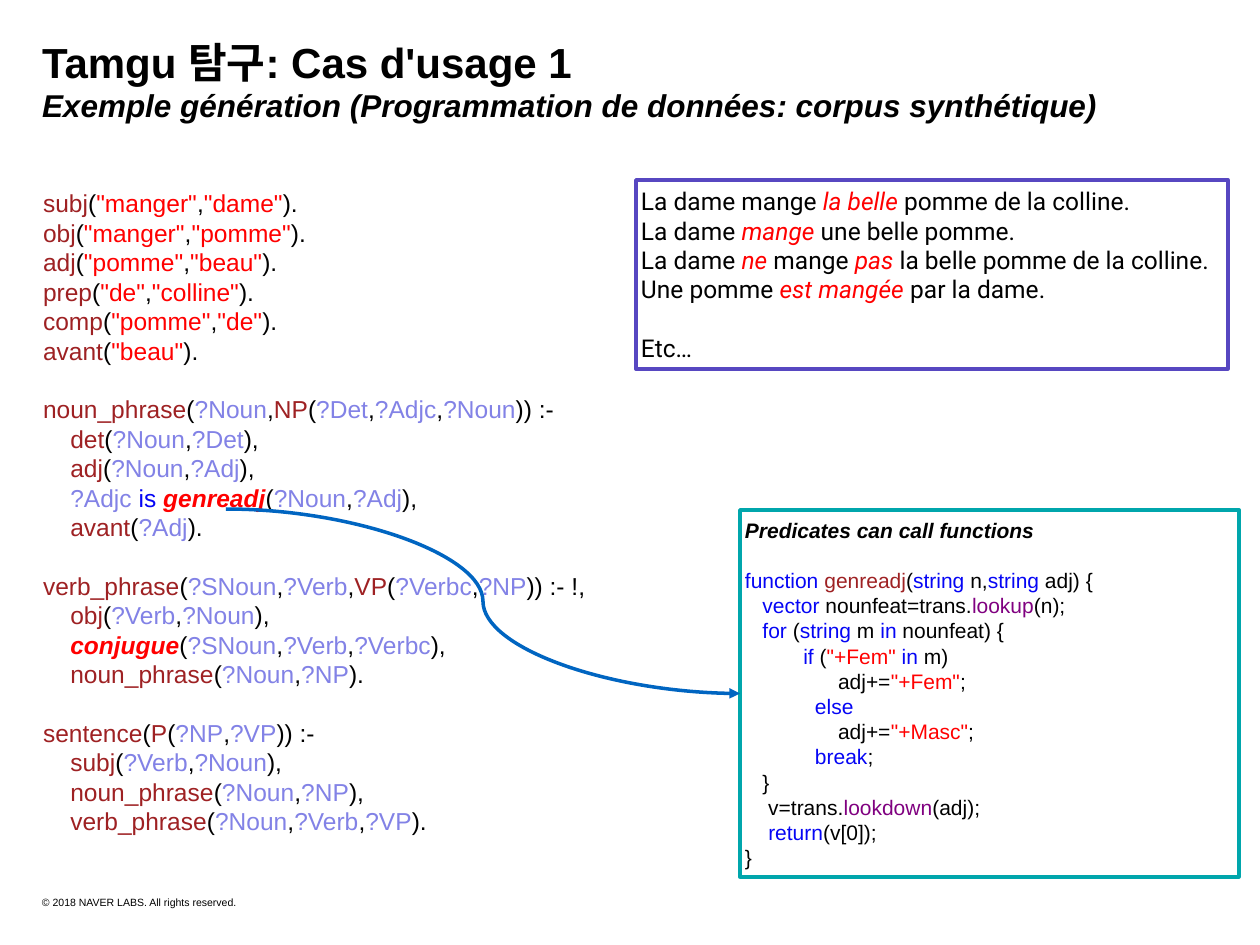
"""Build the slide on a Tamgu use case: rules, generated sentences and a called function."""
from dataclasses import dataclass
from itertools import groupby

from lxml.etree import SubElement
from pptx import Presentation
from pptx.dml.color import RGBColor
from pptx.enum.shapes import MSO_CONNECTOR, MSO_SHAPE
from pptx.enum.text import MSO_ANCHOR, MSO_AUTO_SIZE, PP_ALIGN
from pptx.oxml.ns import qn
from pptx.util import Pt

PX = 914400 / 126
LEAD = 1.2
BLACK = RGBColor(0x00, 0x00, 0x00)
WHITE = RGBColor(0xFF, 0xFF, 0xFF)
RED = RGBColor(0xFF, 0x00, 0x00)
BROWN = RGBColor(0x9E, 0x21, 0x23)
LILAC = RGBColor(0x82, 0x82, 0xE6)
BLUE = RGBColor(0x05, 0x05, 0xF5)
PLUM = RGBColor(0x80, 0x00, 0x80)
VIOLET = RGBColor(0x57, 0x47, 0xC1)
TEAL = RGBColor(0x00, 0xA6, 0xAC)
AZURE = RGBColor(0x00, 0x65, 0xC1)

RULES = """subj("manger","dame").
obj("manger","pomme").
adj("pomme","beau").
prep("de","colline").
comp("pomme","de").
avant("beau").

noun_phrase(?Noun,NP(?Det,?Adjc,?Noun)) :-
    det(?Noun,?Det),
    adj(?Noun,?Adj),
    ?Adjc is genreadj(?Noun,?Adj),
    avant(?Adj).

verb_phrase(?SNoun,?Verb,VP(?Verbc,?NP)) :- !,
    obj(?Verb,?Noun),
    conjugue(?SNoun,?Verb,?Verbc),
    noun_phrase(?Noun,?NP).

sentence(P(?NP,?VP)) :-
    subj(?Verb,?Noun),
    noun_phrase(?Noun,?NP),
    verb_phrase(?Noun,?Verb,?VP)."""

CODE = """function genreadj(string n,string adj) {
   vector nounfeat=trans.lookup(n);
   for (string m in nounfeat) {
          if ("+Fem" in m)
                adj+="+Fem";
            else
                adj+="+Masc";
            break;
   }
    v=trans.lookdown(adj);
    return(v[0]);
}"""

STORY = """La dame mange *la belle* pomme de la colline.
La dame *mange* une belle pomme.
La dame *ne* mange *pas* la belle pomme de la colline.
Une pomme *est mangée* par la dame.

Etc…"""

WORDS = dict.fromkeys("function string vector for in if else break return".split(), BLUE)
WORDS |= {"genreadj": BROWN, "lookup": PLUM, "lookdown": PLUM}


@dataclass(frozen=True)
class Span:
    """A piece of text in one style."""
    text: str
    color: RGBColor = BLACK
    bold: bool = False
    slant: bool = False


@dataclass(frozen=True)
class Area:
    """A place on the slide in px."""
    left: int
    top: int
    width: int
    height: int

    def emu(self) -> list[int]:
        """Give the four lengths in EMU."""
        return [round(n * PX) for n in (self.left, self.top, self.width, self.height)]


Line = list[Span]
Block = list[Line]


def rule_span(word: str) -> Span:
    """Style one word of the rules."""
    if word in ("genreadj", "conjugue"):
        return Span(word, RED, True, True)
    if word == "is":
        return Span(word, BLUE)
    return Span(word, LILAC if word.startswith("?") else BROWN)


def code_span(word: str) -> Span:
    """Style one word of the function."""
    return Span(word, WORDS.get(word, BLACK))


def in_word(char: str) -> bool:
    """Tell whether a character belongs to a word."""
    return char.isalnum() or char in "_?"


def paint(line: str, style) -> Line:
    """Cut a line of code into styled spans."""
    spans = []
    for i, part in enumerate(line.split('"')):
        if i % 2:
            spans.append(Span(f'"{part}"', RED))
            continue
        for named, chars in groupby(part, in_word):
            text = "".join(chars)
            spans.append(style(text) if named else Span(text))
    return spans


def stress(line: str) -> Line:
    """Style the starred parts of a sentence."""
    parts = enumerate(line.split("*"))
    return [Span(t, RED if i % 2 else BLACK, slant=bool(i % 2)) for i, t in parts if t]


def blocks(text: str, cut) -> list[Block]:
    """Split a text into blocks of styled lines."""
    return [[cut(line) for line in part.split("\n")] for part in text.split("\n\n")]


def frame(shape, pad: int, anchor=MSO_ANCHOR.MIDDLE):
    """Set up the text frame of a shape."""
    box = shape.text_frame
    box.word_wrap = True
    box.auto_size = MSO_AUTO_SIZE.NONE
    box.vertical_anchor = anchor
    box.margin_left = box.margin_right = box.margin_top = box.margin_bottom = round(pad * PX)
    return box


def pace(para, size: int, gap: bool = False) -> None:
    """Set the alignment and spacing of a paragraph."""
    para.alignment = PP_ALIGN.LEFT
    para.line_spacing = Pt(size * LEAD)
    para.space_before = Pt(size * LEAD if gap else 0)
    para.space_after = Pt(0)


def dress(run, span: Span, size: int, face: str = "Arial") -> None:
    """Give a run the style of a span."""
    font = run.font
    font.name, font.size = face, Pt(size)
    font.bold, font.italic = span.bold, span.slant
    font.color.rgb = span.color


def write(box, parts: list[Block], size: int, face: str = "Arial") -> None:
    """Write blocks of lines, one line apart."""
    para = box.paragraphs[0]
    for i, block in enumerate(parts):
        for j, line in enumerate(block):
            if i or j:
                para = box.add_paragraph()
            pace(para, size, i > 0 and j == 0)
            for span in line:
                run = para.add_run()
                run.text = span.text
                dress(run, span, size, face)


def panel(slide, area: Area, edge: RGBColor):
    """Draw a white box with a coloured edge."""
    shape = slide.shapes.add_shape(MSO_SHAPE.RECTANGLE, *area.emu())
    shape.shadow.inherit = False
    shape.fill.solid()
    shape.fill.fore_color.rgb = WHITE
    shape.line.color.rgb = edge
    shape.line.width = Pt(2)
    return shape


def head(slide) -> None:
    """Place the title and its subtitle."""
    title = slide.shapes.title
    title.left, title.top, title.width, title.height = Area(38, 32, 1201, 97).emu()
    box = frame(title, 4, MSO_ANCHOR.TOP)
    box.text = ("Tamgu 탐구: Cas d'usage 1\n"
                "Exemple génération (Programmation de données: corpus synthétique)")
    for para, size, slant in zip(box.paragraphs, (24, 18), (False, True)):
        pace(para, size)
        dress(para.runs[0], Span(para.text, BLACK, True, slant), size)


def arrow(slide, left: int, top: int, goal) -> None:
    """Draw a curved arrow to the left side of a box."""
    x, y = round(left * PX), round(top * PX)
    link = slide.shapes.add_connector(MSO_CONNECTOR.CURVE, x, y, goal.left, goal.top)
    link.end_connect(goal, 1)
    link.line.color.rgb = AZURE
    link.line.width = Pt(2)
    SubElement(link.line._get_or_add_ln(), qn("a:tailEnd"), type="triangle")
    SubElement(link._element.spPr, qn("a:effectLst"))


def main() -> None:
    """Build and save the slide."""
    deck = Presentation()
    deck.slide_width, deck.slide_height = Area(0, 0, 1260, 945).emu()[2:]
    slide = deck.slides.add_slide(deck.slide_layouts[5])
    head(slide)

    foot = slide.shapes.add_textbox(*Area(38, 892, 275, 18).emu())
    note = [[[Span("© 2018 NAVER LABS. All rights reserved.")]]]
    write(frame(foot, 4, MSO_ANCHOR.TOP), note, 6)

    rules = slide.shapes.add_textbox(*Area(38, 180, 558, 664).emu())
    write(frame(rules, 5), blocks(RULES, lambda line: paint(line, rule_span)), 14)

    story = panel(slide, Area(636, 180, 592, 189), VIOLET)
    write(frame(story, 5), blocks(STORY, stress), 14, "Roboto")

    code = panel(slide, Area(740, 510, 499, 367), TEAL)
    lead = [[Span("Predicates can call functions", BLACK, True, True)]]
    write(frame(code, 5), [lead, *blocks(CODE, lambda line: paint(line, code_span))], 12)
    arrow(slide, 226, 509, code)
    deck.save("out.pptx")


if __name__ == "__main__":
    main()
